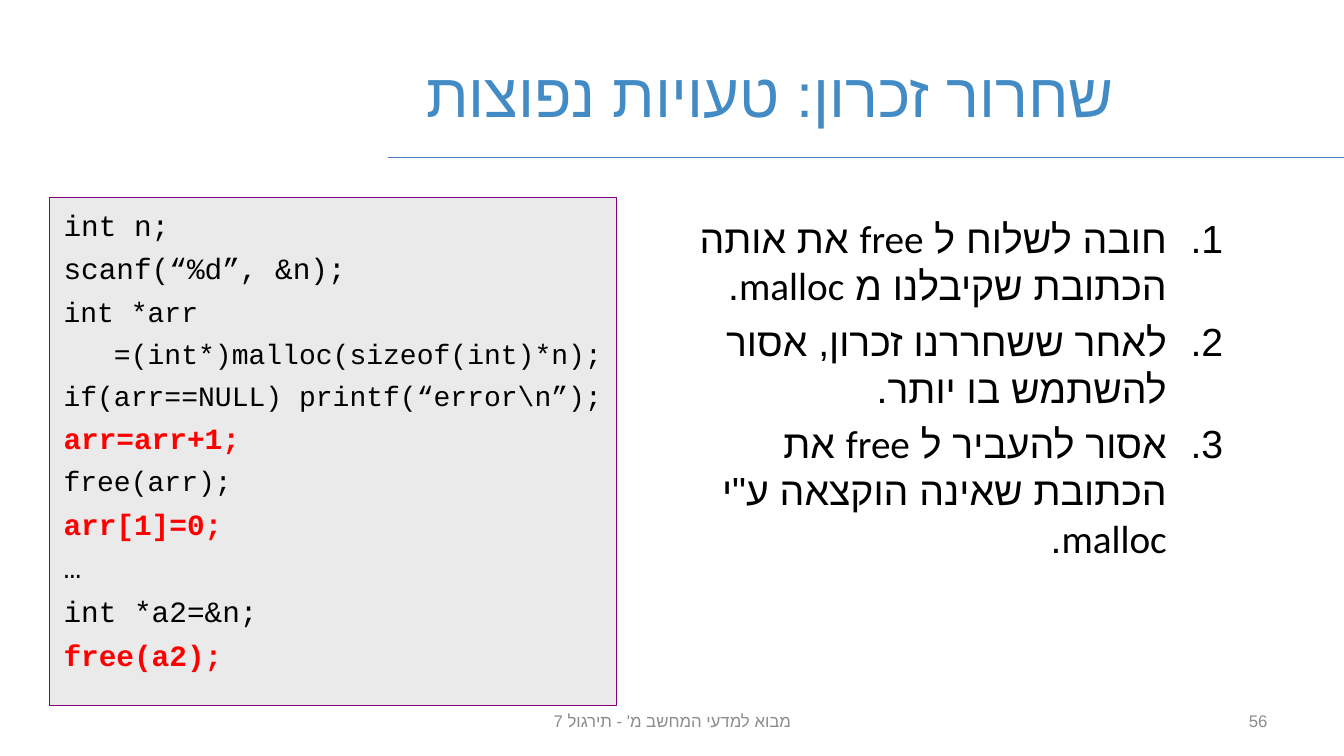
from lxml import etree
from pptx import Presentation, util as u
from pptx.dml.color import RGBColor
from pptx.enum import shapes, text
from pptx.oxml import ns

COLORS = {"title": "438BC4", "rule": "4B7EBC", "black": "000000", "error": "FF0000",
          "code_fill": "EAEAEA", "code_line": "800080", "footer": "8C8C8C"}


def color(name):
    return RGBColor.from_string(COLORS[name])


def write_hebrew(paragraph, words, size, color_name, font_name, alignment):
    paragraph.alignment = alignment
    paragraph._p.get_or_add_pPr().set("rtl", "1")
    run = paragraph.add_run()
    run.text = words
    for name, value in {"size": u.Pt(size), "name": font_name}.items():
        setattr(run.font, name, value)
    run.font.color.rgb = color(color_name)
    # Hebrew letters take the complex-script font
    etree.SubElement(run._r.get_or_add_rPr(), ns.qn("a:cs"), typeface="Arial")


presentation = Presentation()
presentation.slide_width = u.Inches(13.33)
presentation.slide_height = u.Inches(7.5)
slide = presentation.slides.add_slide(presentation.slide_layouts[5])
RIGHT, CENTER = text.PP_ALIGN.RIGHT, text.PP_ALIGN.CENTER

# Title
title = slide.shapes.title
for name, value in {"left": 3.58, "top": 0.3, "width": 7.58, "height": 1.25}.items():
    setattr(title, name, u.Inches(value))
title.text_frame.vertical_anchor = text.MSO_ANCHOR.MIDDLE
write_hebrew(title.text_frame.paragraphs[0], "שחרור זכרון: טעויות נפוצות",
             44, "title", "Arial", RIGHT)

# Rules under the title
for start, end in [(13.33, 3.85), (11.67, 4.56)]:
    rule = slide.shapes.add_connector(shapes.MSO_CONNECTOR.STRAIGHT, u.Inches(start),
                                      u.Inches(1.56), u.Inches(end), u.Inches(1.56))
    rule.line.color.rgb = color("rule")
    rule.line.width = u.Pt(0.75)
    etree.SubElement(rule._element.spPr, ns.qn("a:effectLst"))

# Numbered list of mistakes
mistakes = [
    "חובה לשלוח ל free את אותה הכתובת שקיבלנו מ malloc.",
    "לאחר ששחררנו זכרון, אסור להשתמש בו יותר.",
    "אסור להעביר ל free את הכתובת שאינה הוקצאה ע\"י malloc.",
]
mistake_box = slide.shapes.add_textbox(u.Inches(6.61), u.Inches(2.08),
                                       u.Inches(5.62), u.Inches(4.19))
frame = mistake_box.text_frame
frame.word_wrap = True
for index, mistake in enumerate(mistakes):
    paragraph = frame.add_paragraph() if index else frame.paragraphs[0]
    properties = paragraph._p.get_or_add_pPr()
    properties.set("marL", str(u.Inches(0.56)))
    properties.set("indent", str(-u.Inches(0.56)))
    etree.SubElement(properties, ns.qn("a:buFont"), typeface="+mj-lt")
    etree.SubElement(properties, ns.qn("a:buAutoNum"), type="arabicPeriod")
    paragraph.space_before = u.Pt(6 if index else 0)
    write_hebrew(paragraph, mistake, 28, "black", "Calibri", RIGHT)

# Code box: line, size, whether it is a mistake
code_lines = [
    ("int n;", 21, False),
    ("scanf(“%d”, &n);", 21, False),
    ("int *arr", 20, False),
    ("   =(int*)malloc(sizeof(int)*n);", 20, False),
    ("if(arr==NULL) printf(“error\\n”);", 20, False),
    ("arr=arr+1;", 21, True),
    ("free(arr);", 20, False),
    ("arr[1]=0;", 21, True),
    ("…", 21, False),
    ("int *a2=&n;", 21, False),
    ("free(a2);", 21, True),
]
code_box = slide.shapes.add_shape(shapes.MSO_SHAPE.RECTANGLE, u.Inches(0.49), u.Inches(1.96),
                                  u.Inches(5.62), u.Inches(5.04))
code_box.shadow.inherit = False
code_box.fill.solid()
code_box.fill.fore_color.rgb = color("code_fill")
code_box.line.color.rgb = color("code_line")
code_box.line.width = u.Pt(0.75)
frame = code_box.text_frame
# The narrow right margin keeps the longest code line on one row
for name, value in {"margin_left": u.Inches(0.14), "margin_right": u.Inches(0.02),
                    "margin_top": u.Inches(0.09), "margin_bottom": u.Inches(0.09),
                    "vertical_anchor": text.MSO_ANCHOR.TOP, "word_wrap": True}.items():
    setattr(frame, name, value)
for index, (code, size, is_mistake) in enumerate(code_lines):
    paragraph = frame.add_paragraph() if index else frame.paragraphs[0]
    paragraph.alignment = text.PP_ALIGN.LEFT
    paragraph.space_before = u.Pt(6 if index else 0)
    run = paragraph.add_run()
    run.text = code
    for name, value in {"name": "Courier New", "size": u.Pt(size), "bold": is_mistake}.items():
        setattr(run.font, name, value)
    run.font.color.rgb = color("error" if is_mistake else "black")

# Footer and slide number
for words, left, width, alignment in [("מבוא למדעי המחשב מ' - תירגול 7", 4.56, 4.22, CENTER),
                                      ("56", 9.56, 3.11, RIGHT)]:
    footer = slide.shapes.add_textbox(u.Inches(left), u.Inches(6.95),
                                      u.Inches(width), u.Inches(0.4))
    footer.text_frame.word_wrap = True
    footer.text_frame.vertical_anchor = text.MSO_ANCHOR.MIDDLE
    write_hebrew(footer.text_frame.paragraphs[0], words, 12, "footer", "Calibri", alignment)

presentation.save("out.pptx")
